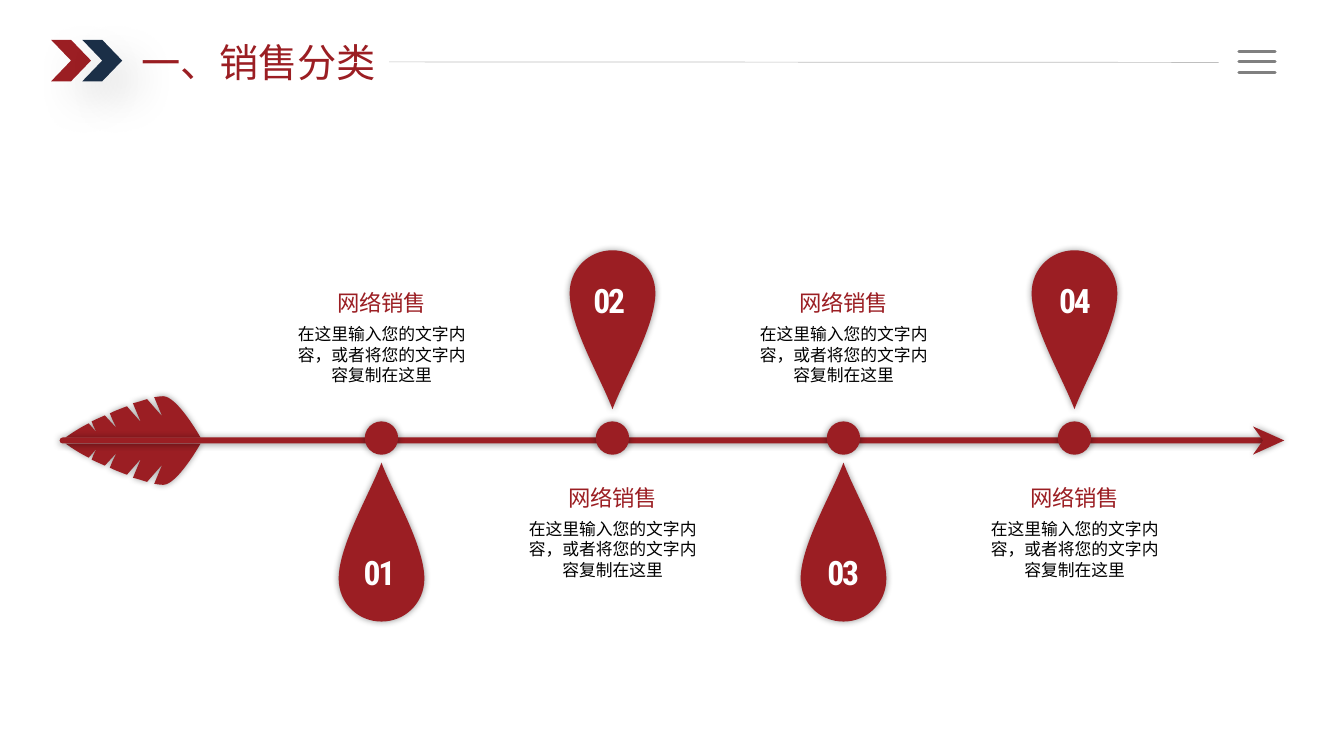
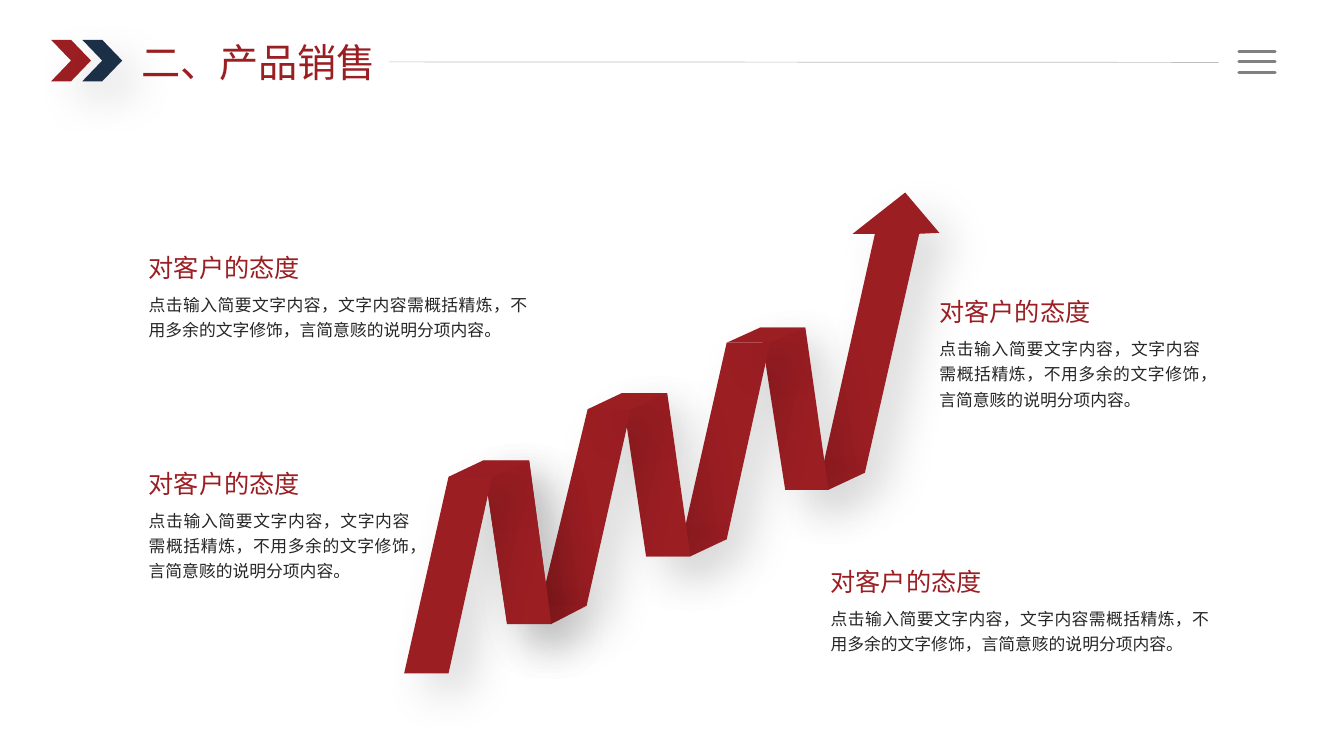
"""Build two sales slides: an arrow timeline and a folded growth ribbon."""
from dataclasses import dataclass

from lxml.etree import SubElement
from pptx import Presentation
from pptx.dml.color import RGBColor
from pptx.enum.shapes import MSO_CONNECTOR, MSO_SHAPE
from pptx.enum.text import MSO_ANCHOR, MSO_AUTO_SIZE, PP_ALIGN
from pptx.oxml.ns import qn
from pptx.util import Pt


@dataclass(frozen=True)
class Theme:
    red: str = "9B1E23"
    navy: str = "1B2F47"
    rule: str = "BFBFBF"
    menu: str = "808080"
    black: str = "000000"
    ink: str = "262626"
    white: str = "FFFFFF"
    heading_font: str = "Noto Sans CJK JP"
    body_font: str = "Noto Sans CJK SC"
    number_font: str = "Roboto Condensed"
    title_size: int = 28
    number_size: int = 24
    subtitle_size: int = 18
    label_size: int = 16
    body_size: int = 12
    glow: tuple = (40, 5, 0, 0)
    drop: tuple = (14, 32, 19, 45)


THEME = Theme()

TIMELINE_TITLE = "一、销售分类"
STEP_LABEL = "网络销售"
STEP_BODY = "在这里输入您的文字内容，或者将您的文字内容复制在这里"
STEPS = [("01", 271.1), ("02", 435.2), ("03", 602.3), ("04", 767.9)]

RIBBON_TITLE = "二、产品销售"
NOTE_HEADING = "对客户的态度"
NOTE_BODY = "点击输入简要文字内容，文字内容需概括精炼，不用多余的文字修饰，言简意赅的说明分项内容。"
NOTES = [(106.2, 180.3, 270.7), (593.3, 404.6, 270.7),
         (671, 211.9, 186.5), (106.2, 334.6, 186.5)]

DROP = [(0, 0), (-8, 21.6, -30.6, 59, -30.6, 83), (-30.6, 100, -17, 113.5, 0, 113.5),
        (17, 113.5, 30.6, 100, 30.6, 83), (30.6, 59, 8, 21.6, 0, 0)]
FEATHER = [(116.6, 29.5), (115.2, 29.5, 113, 29.2, 110.2, 28.8),
           (113, 22, 115.9, 15.1, 115.9, 15.1), (105.1, 27.4),
           (102.2, 26.6, 98.6, 25.2, 95, 24.5), (97.9, 17.3, 100.8, 10.8, 100.8, 10.8),
           (90.7, 22.3), (87.1, 20.9, 82.8, 19.4, 78.5, 17.3),
           (80.6, 11.5, 83.5, 6.5, 83.5, 6.5), (74.9, 15.8),
           (72, 14.4, 68.4, 13, 65.5, 11.5), (67, 7.2, 69.1, 3.6, 69.1, 3.6),
           (63.4, 10.1), (57.6, 7.2, 51.8, 3.6, 46.8, 0), (143.3, 0),
           (143.3, 0, 126.7, 29.5, 116.6, 29.5)]
SHAFT = [(44.8, 316.8), (43.6, 316.8, 42.6, 315.9, 42.6, 314.7),
         (42.6, 313.5, 43.6, 312.5, 44.8, 312.5), (903.8, 312.5),
         (905.2, 312.5, 906.2, 313.5, 906.2, 314.7),
         (906.2, 315.9, 905.2, 316.8, 903.8, 316.8), (44.8, 316.8)]
ARROWHEAD = [(917.3, 314.6), (895, 324.7), (902.2, 314.6), (895, 304.6), (917.3, 314.6)]

RIBBON_EDGES = [(288.7, 320.4, 481), (320.4, 351.4, 340.6), (344.9, 378, 329),
                (362.2, 393.8, 445.7), (385.9, 419, 432.7), (419.8, 450.7, 292.3),
                (444.2, 476.6, 280.8), (461.5, 493.2, 397.4), (487.4, 519.1, 385.2),
                (519.1, 550.1, 244.8), (542.9, 575.3, 234), (560.9, 591.8, 349.9),
                (586.8, 617.8, 337.7)]
RIBBON_TIP = [(586.8, 337.7), (625, 167), (609.1, 167), (646.6, 137.5),
              (671, 166.3), (656.6, 167), (617.8, 337.7), (586.8, 337.7)]
PANEL_ORDER = (11, 10, 8, 7, 6, 4, 3, 2, 2, 1, 0, 5, 9)


def write_text(frame, text, *, font, size, color, bold=False, align=PP_ALIGN.LEFT,
               spacing=None, tracking=None, wrap=True, inset=None):
    """Write one formatted paragraph into a text frame."""
    frame.word_wrap = wrap
    frame.auto_size = MSO_AUTO_SIZE.NONE
    frame.vertical_anchor = MSO_ANCHOR.TOP
    if inset is not None:
        frame.margin_left = frame.margin_right = Pt(inset)
        frame.margin_top = frame.margin_bottom = Pt(inset)
    paragraph = frame.paragraphs[0]
    paragraph.alignment = align
    if spacing:
        paragraph.line_spacing = spacing
    run = paragraph.add_run()
    run.text = text
    run.font.size = Pt(size)
    run.font.bold = bold
    run.font.color.rgb = RGBColor.from_string(color)
    run.font.name = font
    properties = run.font._element
    SubElement(properties, qn("a:ea")).set("typeface", font)
    if tracking:
        properties.set("spc", str(int(tracking * 100)))


def add_text(slide, box, text, **style):
    """Add a text box at left, top, width, height."""
    shape = slide.shapes.add_textbox(*(Pt(length) for length in box))
    write_text(shape.text_frame, text, **style)


def paint(shape, color, shadow):
    """Fill a shape without outline and cast its shadow."""
    shape.fill.solid()
    shape.fill.fore_color.rgb = RGBColor.from_string(color)
    shape.line.fill.background()
    shape.shadow.inherit = False
    opacity, blur, distance, angle = shadow
    effects = shape._element.spPr.find(qn("a:effectLst"))
    outer = SubElement(effects, qn("a:outerShdw"), blurRad=str(Pt(blur)),
                       dist=str(Pt(distance)), dir=str(angle * 60000),
                       algn="ctr", rotWithShape="0")
    tint = SubElement(outer, qn("a:srgbClr"), val=THEME.black)
    SubElement(tint, qn("a:alpha"), val=str(opacity * 1000))


def add_preset(slide, kind, box, color, shadow):
    """Add a painted preset shape."""
    shape = slide.shapes.add_shape(kind, *(Pt(length) for length in box))
    paint(shape, color, shadow)


def add_outline(slide, segments, shadow):
    """Add a closed red outline of line ends and cubic curves."""
    points = [(Pt(x), Pt(y)) for segment in segments
              for x, y in zip(segment[::2], segment[1::2])]
    builder = slide.shapes.build_freeform(*points[0], scale=1.0)
    builder.add_line_segments(points[1:], close=True)
    shape = builder.convert_to_shape()
    lines = iter(list(shape._element.iter(qn("a:lnTo"))))
    for segment in segments[1:]:
        first = next(lines)
        if len(segment) == 6:
            first.tag = qn("a:cubicBezTo")
            for control in (next(lines), next(lines)):
                first.append(control[0])
                control.getparent().remove(control)
    paint(shape, THEME.red, shadow)


def place(segments, left, base, side):
    """Move segments to left and base, mirrored upward when side is -1."""
    return [tuple(base + side * value if index % 2 else left + value
                  for index, value in enumerate(segment)) for segment in segments]


def add_rule(slide, start, end, color, width, cap="flat"):
    """Add a straight line without shadow."""
    line = slide.shapes.add_connector(MSO_CONNECTOR.STRAIGHT,
                                      *(Pt(length) for length in start + end))
    line.line.color.rgb = RGBColor.from_string(color)
    line.line.width = Pt(width)
    properties = line._element.spPr
    properties.find(qn("a:ln")).set("cap", cap)
    SubElement(properties, qn("a:effectLst"))


def add_titled_slide(presentation, layout, title):
    """Add a slide with the shared header."""
    slide = presentation.slides.add_slide(layout)
    for left, color in ((36.5, THEME.red), (58.8, THEME.navy)):
        add_preset(slide, MSO_SHAPE.CHEVRON, (left, 28.5, 28.5, 29.6), color, THEME.drop)
    add_rule(slide, (277.9, 44.2), (870.5, 44.6), THEME.rule, 0.5)
    for index in range(3):
        height = 36.7 + 7.5 * index
        add_rule(slide, (884.9, height), (910.8, height), THEME.menu, 2.25, cap="rnd")
    write_text(slide.shapes.title.text_frame, title, font=THEME.heading_font,
               size=THEME.title_size, color=THEME.red, wrap=False)
    return slide


def build_timeline(slide):
    """Draw the feathered arrow and its four steps."""
    for base, side in ((312.5, -1), (316.8, 1)):
        add_outline(slide, place(FEATHER, 0, base, side), THEME.glow)
    add_outline(slide, SHAFT, THEME.glow)
    add_outline(slide, ARROWHEAD, THEME.glow)

    for index, (number, number_center) in enumerate(STEPS):
        center = 272.5 + 165 * index
        caption_left = center - 70.7
        tip, side, number_top, label_top = (
            (292.3, -1, 196.6, 342.2) if index % 2 else (330.5, 1, 391, 203))
        add_preset(slide, MSO_SHAPE.OVAL, (center - 11.9, 301, 23.8, 23.8),
                   THEME.red, THEME.glow)
        add_outline(slide, place(DROP, center, tip, side), THEME.glow)
        add_text(slide, (number_center - 28.5, number_top, 57, 36), number,
                 font=THEME.number_font, size=THEME.number_size, color=THEME.white,
                 bold=True, align=PP_ALIGN.CENTER, tracking=-1.5)
        add_text(slide, (caption_left, label_top, 141.8, 26.6), STEP_LABEL,
                 font=THEME.heading_font, size=THEME.label_size, color=THEME.red,
                 align=PP_ALIGN.CENTER)
        add_text(slide, (caption_left, label_top + 25, 141.8, 51), STEP_BODY,
                 font=THEME.body_font, size=THEME.body_size, color=THEME.black,
                 align=PP_ALIGN.CENTER)


def build_ribbon(slide):
    """Draw the folded ribbon and its notes."""
    add_outline(slide, RIBBON_TIP, THEME.drop)
    for index in PANEL_ORDER:
        (left, right, y), (next_left, next_right, next_y) = RIBBON_EDGES[index:index + 2]
        add_outline(slide, [(left, y), (right, y), (next_right, next_y),
                            (next_left, next_y), (left, y)], THEME.drop)
    for left, top, width in NOTES:
        add_text(slide, (left, top, 193, 21.6), NOTE_HEADING, font=THEME.heading_font,
                 size=THEME.subtitle_size, color=THEME.red, inset=0)
        add_text(slide, (left, top + 26.6, width, 54.7 if width < 200 else 34.6),
                 NOTE_BODY, font=THEME.body_font, size=THEME.body_size, color=THEME.ink,
                 align=PP_ALIGN.JUSTIFY, spacing=1.25, inset=0)


def main():
    """Build and save the presentation."""
    presentation = Presentation()
    presentation.slide_width, presentation.slide_height = Pt(960), Pt(540)
    layout = presentation.slide_layouts.get_by_name("Title Only")
    title = layout.placeholders[0]
    title.left, title.top, title.width, title.height = Pt(93.6), Pt(23.8), Pt(184.3), Pt(41)
    build_timeline(add_titled_slide(presentation, layout, TIMELINE_TITLE))
    build_ribbon(add_titled_slide(presentation, layout, RIBBON_TITLE))
    presentation.save("out.pptx")


if __name__ == "__main__":
    main()
